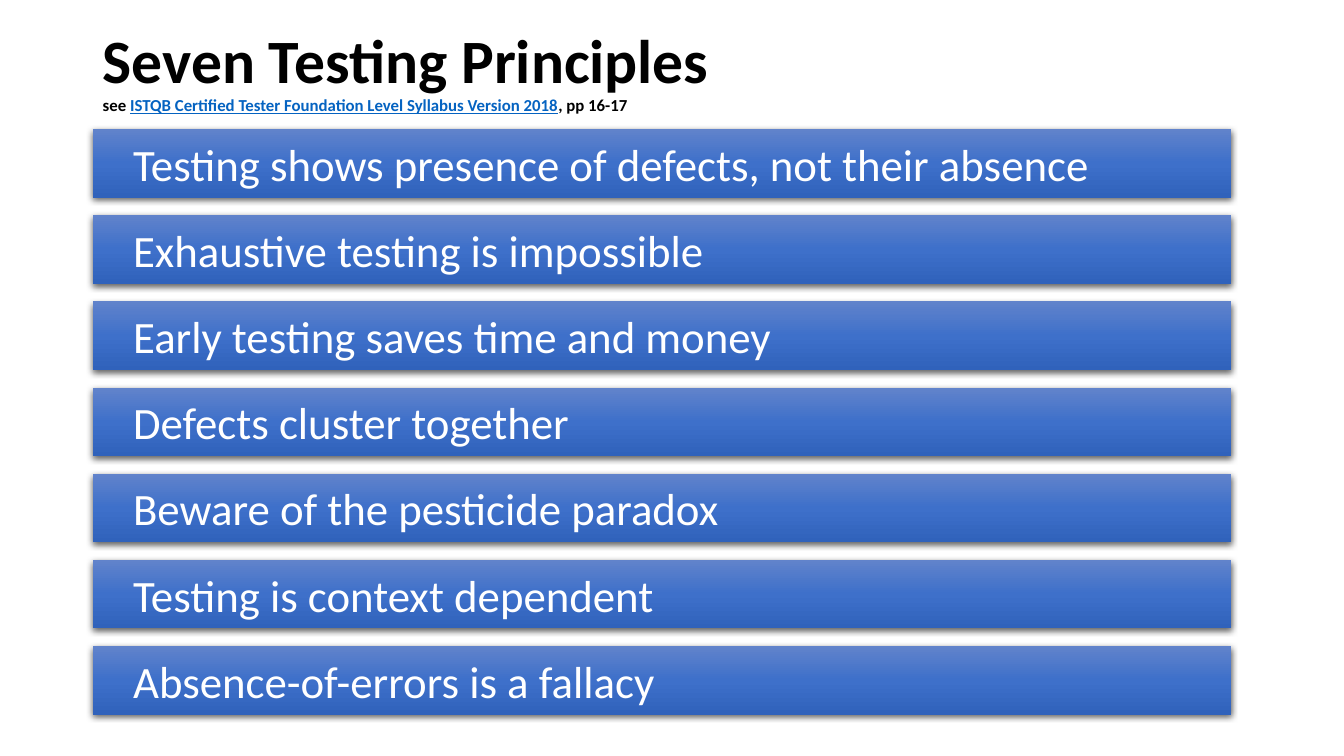
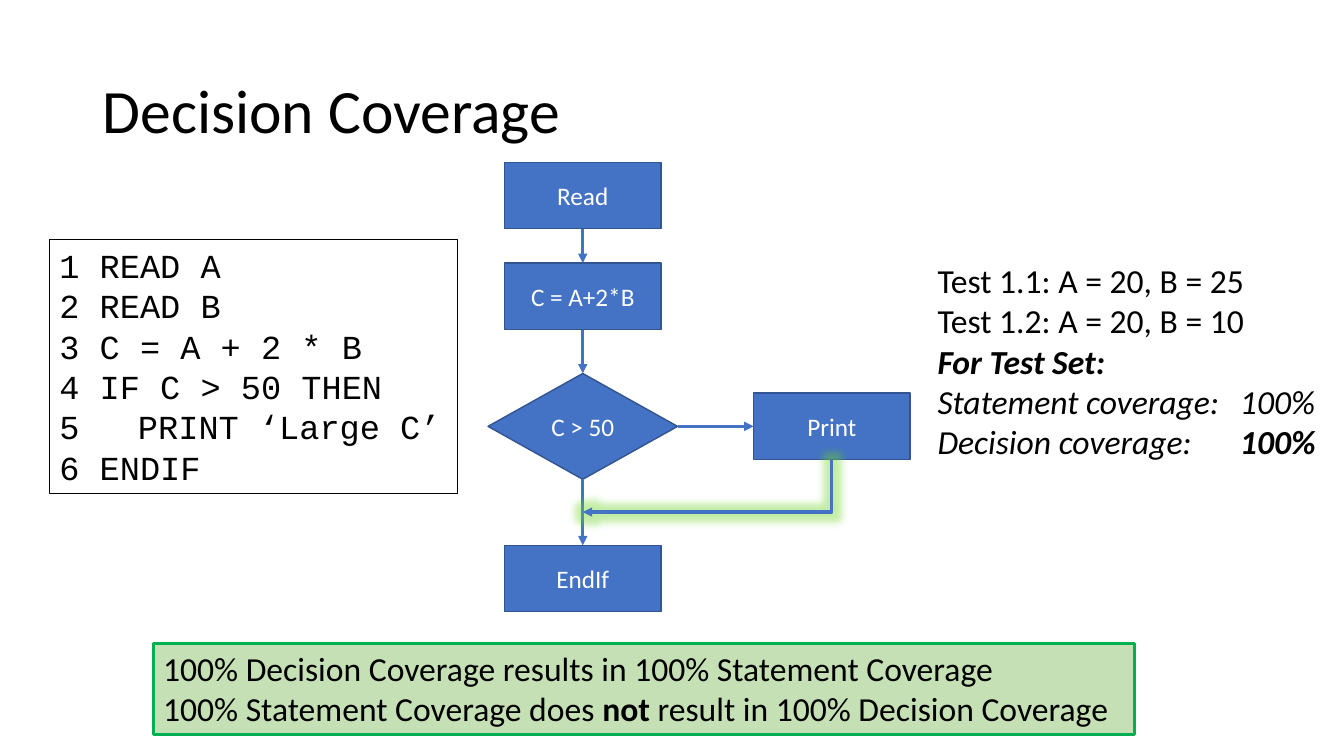
from copy import deepcopy
from dataclasses import dataclass

from lxml.etree import SubElement
from pptx import Presentation
from pptx.dml.color import RGBColor
from pptx.enum.shapes import MSO_CONNECTOR, MSO_SHAPE
from pptx.enum.text import MSO_ANCHOR, PP_ALIGN
from pptx.oxml.ns import qn
from pptx.util import Emu, Inches, Pt


@dataclass(frozen=True)
class Theme:
    body_font: str = "Calibri"
    code_font: str = "Courier New"
    black: str = "000000"
    white: str = "FFFFFF"
    link: str = "0563C1"
    node: str = "4472C4"
    node_edge: str = "325491"
    bar_stops: tuple = ((0, "6183CB"), (0.5, "3E70CA"), (1, "3062BB"))
    glow: str = "6BD321"
    summary: str = "C5E0B4"
    summary_edge: str = "00B050"
    title_size: float = 44
    bar_size: float = 32
    text_size: float = 24
    node_size: float = 18
    source_size: float = 12
    leading: float = 28.8


THEME = Theme()
SLIDE_W, SLIDE_H = 13.33, 7.5
MARGIN = 0.92

SOURCE = dict(size=THEME.source_size)
PRINCIPLES_TITLE = [
    ("Seven Testing Principles", {}),
    ("\v", {}),
    ("see ", SOURCE),
    ("ISTQB Certified Tester Foundation Level Syllabus Version 2018",
     dict(SOURCE, color=THEME.link, underline=True)),
    (", pp 16-17", SOURCE),
]
PRINCIPLES = [
    "Testing shows presence of defects, not their absence",
    "Exhaustive testing is impossible",
    "Early testing saves time and money",
    "Defects cluster together",
    "Beware of the pesticide paradox",
    "Testing is context dependent",
    "Absence-of-errors is a fallacy",
]
BAR_TOP, BAR_STEP, BAR_W, BAR_H = 1.28, 0.855, 11.29, 0.68

COVERAGE_TITLE = [("Decision Coverage", {})]
CODE = [
    "1 READ A",
    "2 READ B",
    "3 C = A + 2 * B",
    "4 IF C > 50 THEN",
    "  PRINT ‘Large C’",
    "6 ENDIF",
]
NUMBERED_LINE = 5
ITALIC = dict(italic=True)
BOLD_ITALIC = dict(bold=True, italic=True)
RESULTS = [
    "Test 1.1: A = 20, B = 25",
    "Test 1.2: A = 20, B = 10",
    [("For Test Set:", BOLD_ITALIC)],
    [("Statement coverage: \t100%", ITALIC)],
    [("Decision coverage: \t", ITALIC), ("100%", BOLD_ITALIC)],
]
SUMMARY = [
    "100% Decision Coverage results in 100% Statement Coverage",
    [("100% Statement Coverage does ", {}), ("not ", dict(bold=True)),
     ("result in 100% Decision Coverage", {})],
]

COLUMNS = (5.78, 8.25)
ROWS = (1.94, 2.94, 4.23, 5.74)
STEP = (MSO_SHAPE.RECTANGLE, 1.55, 0.66)
DECISION = (MSO_SHAPE.FLOWCHART_DECISION, 1.88, 1.05)
FLOW = {
    "Read": (STEP, 0, 0),
    "C = A+2*B": (STEP, 0, 1),
    "C > 50": (DECISION, 0, 2),
    "Print": (STEP, 1, 2),
    "EndIf": (STEP, 0, 3),
}
TOP, LEFT, BOTTOM, RIGHT = range(4)
ARROWS = [
    ("Read", BOTTOM, "C = A+2*B", TOP),
    ("C = A+2*B", BOTTOM, "C > 50", TOP),
    ("C > 50", RIGHT, "Print", LEFT),
    ("C > 50", BOTTOM, "EndIf", TOP),
]
RETURN_DROP = 0.52


def rgb(color):
    return RGBColor.from_string(color)


def style(font, size=None, color=None, name=None, bold=None, italic=None, underline=None):
    if size:
        font.size = Pt(size)
    if color:
        font.color.rgb = rgb(color)
    if name:
        font.name = name
    for key, value in (("bold", bold), ("italic", italic), ("underline", underline)):
        if value is not None:
            setattr(font, key, value)


def write(shape, lines, size, color=THEME.black, name=THEME.body_font, bold=None,
          align=PP_ALIGN.LEFT, anchor=MSO_ANCHOR.TOP, leading=None, setup=None):
    frame = shape.text_frame
    frame.word_wrap = True
    frame.vertical_anchor = anchor
    for number, line in enumerate(lines, 1):
        paragraph = frame.paragraphs[0] if number == 1 else frame.add_paragraph()
        paragraph.alignment = align
        paragraph.line_spacing = leading
        if setup:
            setup(paragraph, number)
        style(paragraph.font, size, color, name, bold)
        for text, look in [(line, {})] if isinstance(line, str) else line:
            if text == "\v":
                paragraph.add_line_break()
            else:
                run = paragraph.add_run()
                run.text = text
                style(run.font, **look)
    return frame


def add_box(slide, left, top, width, height, kind=MSO_SHAPE.RECTANGLE,
            fill=None, edge=None, weight=1):
    box = slide.shapes.add_shape(kind, *map(Inches, (left, top, width, height)))
    box.shadow.inherit = False
    if fill:
        box.fill.solid()
        box.fill.fore_color.rgb = rgb(fill)
    else:
        box.fill.background()
    if edge:
        box.line.color.rgb = rgb(edge)
        box.line.width = Pt(weight)
    else:
        box.line.fill.background()
    return box


def add_title(slide, runs, top, bold=None):
    title = slide.shapes.add_textbox(*map(Inches, (MARGIN, top, 11.5, 1.45)))
    write(title, [runs], THEME.title_size, bold=bold, anchor=MSO_ANCHOR.MIDDLE, leading=0.9)


def add_effect(effects, tag, color, alpha, **values):
    effect = SubElement(effects, qn(tag), {key: str(value) for key, value in values.items()})
    tint = SubElement(effect, qn("a:srgbClr"), val=color)
    SubElement(tint, qn("a:alpha"), val=str(alpha * 1000))


def add_bar(slide, text, top):
    bar = add_box(slide, MARGIN, top, BAR_W, BAR_H)
    bar.fill.gradient()
    bar.fill.gradient_angle = 270
    properties = bar._element.spPr
    stop_list = properties.find(".//" + qn("a:gsLst"))
    stop_list.append(deepcopy(stop_list[0]))
    for stop, (position, color) in zip(bar.fill.gradient_stops, THEME.bar_stops):
        stop.position = position
        stop.color.rgb = rgb(color)
    add_effect(properties.find(qn("a:effectLst")), "a:outerShdw", THEME.black, 63,
               blurRad=Pt(4.5), dist=Pt(1.5), dir=5400000, algn="ctr", rotWithShape=0)
    frame = write(bar, [text], THEME.bar_size, THEME.white, anchor=MSO_ANCHOR.MIDDLE)
    frame.margin_left, frame.margin_right = Inches(0.4), Inches(0.2)


def add_arrow(slide, kind, *ends):
    arrow = slide.shapes.add_connector(kind, *map(Inches, ends))
    arrow.line.color.rgb = rgb(THEME.node)
    arrow.line.width = Pt(2.25)
    properties = arrow._element.spPr
    SubElement(properties.find(qn("a:ln")), qn("a:tailEnd"), type="triangle")
    return arrow, SubElement(properties, qn("a:effectLst"))


def add_return_arrow(slide):
    run = COLUMNS[1] - COLUMNS[0]
    middle_x = sum(COLUMNS) / 2
    middle_y = ROWS[2] + (STEP[2] + RETURN_DROP) / 2
    arrow, effects = add_arrow(
        slide, MSO_CONNECTOR.ELBOW,
        middle_x - RETURN_DROP / 2, middle_y - run / 2,
        middle_x + RETURN_DROP / 2, middle_y + run / 2)
    properties = arrow._element.spPr
    properties.find(qn("a:xfrm")).set("rot", "5400000")
    properties.find(qn("a:prstGeom")).set("prst", "bentConnector2")
    add_effect(effects, "a:glow", THEME.glow, 40, rad=Pt(11))


def add_flowchart(slide):
    nodes = {}
    for text, ((kind, width, height), column, row) in FLOW.items():
        nodes[text] = add_box(slide, COLUMNS[column] - width / 2, ROWS[row] - height / 2,
                              width, height, kind, THEME.node, THEME.node_edge)
        write(nodes[text], [text], THEME.node_size, THEME.white,
              align=PP_ALIGN.CENTER, anchor=MSO_ANCHOR.MIDDLE)
    for start, start_side, end, end_side in ARROWS:
        arrow, _ = add_arrow(slide, MSO_CONNECTOR.STRAIGHT, 0, 0, 0, 0)
        arrow.begin_connect(nodes[start], start_side)
        arrow.end_connect(nodes[end], end_side)
    add_return_arrow(slide)


def number_code(paragraph, number):
    if number == NUMBERED_LINE:
        layout = paragraph._p.get_or_add_pPr()
        layout.set("marL", str(Inches(0.38)))
        layout.set("indent", str(-Inches(0.38)))
        SubElement(layout, qn("a:buFont"), typeface=THEME.code_font)
        SubElement(layout, qn("a:buAutoNum"), type="arabicPlain", startAt=str(number))


def align_percentages(paragraph, number):
    tabs = SubElement(paragraph._p.get_or_add_pPr(), qn("a:tabLst"))
    SubElement(tabs, qn("a:tab"), pos=str(Inches(3)), algn="l")


def build_principles(slide):
    add_title(slide, PRINCIPLES_TITLE, 0, bold=True)
    for index, principle in enumerate(PRINCIPLES):
        add_bar(slide, principle, BAR_TOP + index * BAR_STEP)


def build_coverage(slide):
    add_title(slide, COVERAGE_TITLE, 0.4)
    add_flowchart(slide)
    leading = Pt(THEME.leading)
    code = add_box(slide, 0.49, 2.38, 4.05, 2.52, edge=THEME.black, weight=0.75)
    write(code, CODE, THEME.text_size, name=THEME.code_font, leading=leading, setup=number_code)
    results = slide.shapes.add_textbox(*map(Inches, (9.2, 2.53, 3.98, 2.52)))
    frame = write(results, RESULTS, THEME.text_size, leading=leading, setup=align_percentages)
    frame.margin_right = Emu(0)
    summary = add_box(slide, 1.52, 6.38, 9.73, 0.91, fill=THEME.summary,
                      edge=THEME.summary_edge, weight=2.25)
    write(summary, SUMMARY, THEME.text_size, leading=leading)


def main():
    deck = Presentation()
    deck.slide_width, deck.slide_height = Inches(SLIDE_W), Inches(SLIDE_H)
    for build in (build_principles, build_coverage):
        build(deck.slides.add_slide(deck.slide_layouts[6]))
    deck.save("out.pptx")


if __name__ == "__main__":
    main()
